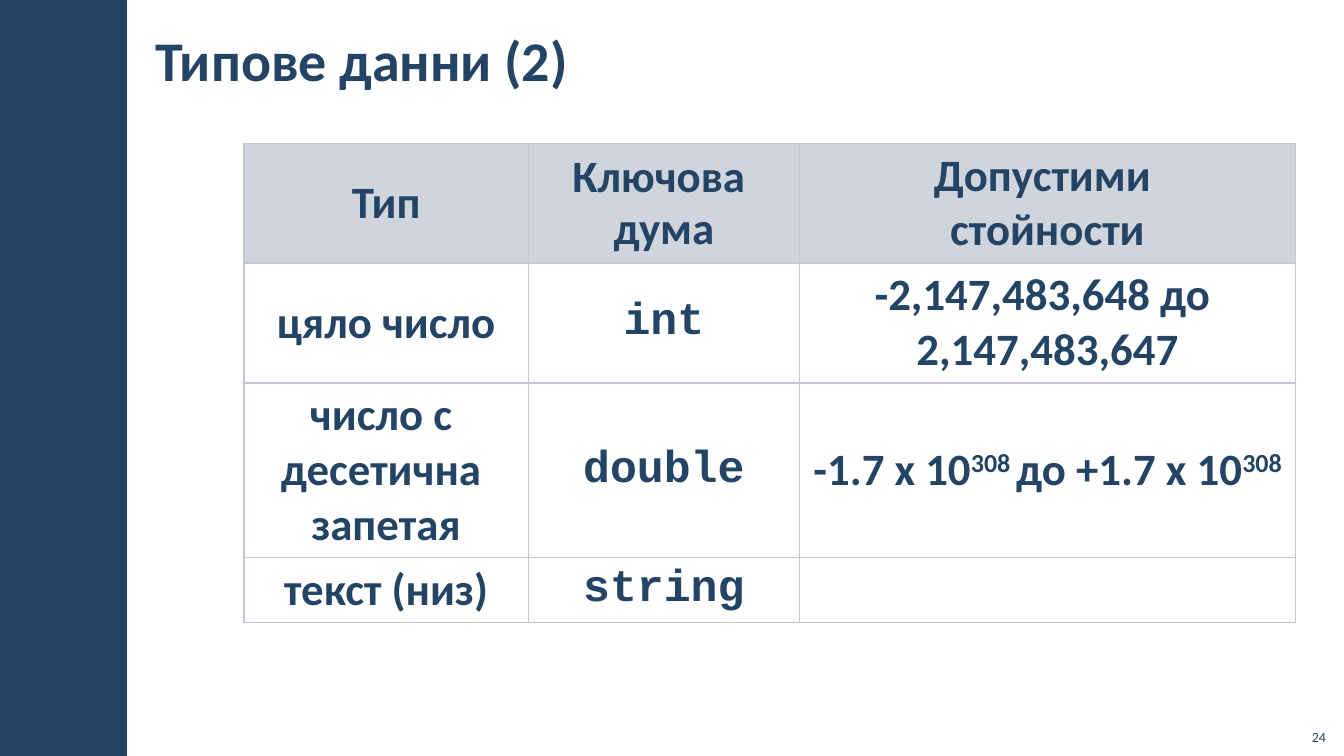
from pptx import Presentation
from pptx.dml.color import RGBColor
from pptx.enum import shapes, text
from pptx.oxml import parse_xml
from pptx.oxml.ns import nsdecls, qn
from pptx.util import Inches, Pt

NAVY = RGBColor(0x23, 0x44, 0x65)
HEADER_GRAY = RGBColor(0xA3, 0xAB, 0xBC)
BORDER_GRAY = RGBColor(0xC2, 0xC7, 0xD2)
BODY_FONT = "Calibri"
CODE_FONT = "Courier New"
PLAIN_TABLE_STYLE = "{2D5ABB26-0587-4C30-8999-92F81FD0307C}"

COLUMN_WIDTHS = [2.82, 2.69, 4.92]
ROW_HEIGHTS = [1.19, 1.19, 1.73, 0.64]
DATA_TYPES = [
    ["Тип", "Ключова \vдума", "Допустими \vстойности"],
    ["цяло число", "int", "-2,147,483,648 до \v2,147,483,647"],
    ["число с \vдесетична \nзапетая", "double",
     "-1.7 x 10^308 ^до +1.7 x 10^308"],
    ["текст (низ)", "string", ""],
]


def format_paragraph(paragraph, size, bold=False, name=BODY_FONT):
    font = paragraph.font
    font.name, font.size, font.bold = name, Pt(size), bold
    font.color.rgb = NAVY


def add_side_band(slide, left, top, width, height):
    band = slide.shapes.add_shape(
        shapes.MSO_SHAPE.RECTANGLE, left, top, width, height)
    band.shadow.inherit = False
    band.fill.solid()
    band.fill.fore_color.rgb = NAVY
    band.line.fill.background()


def place_title(slide, left, top, width, height):
    title = slide.shapes.title
    title.left, title.top, title.width, title.height = left, top, width, height
    frame = title.text_frame
    frame.text = "Типове данни (2)"
    frame.vertical_anchor = text.MSO_ANCHOR.MIDDLE
    frame.margin_left = frame.margin_right = Inches(0.12)
    frame.margin_top = frame.margin_bottom = Inches(0.04)
    paragraph = frame.paragraphs[0]
    paragraph.alignment = text.PP_ALIGN.LEFT
    format_paragraph(paragraph, 40, bold=True)


def add_borders(cell):
    properties = cell._tc.get_or_add_tcPr()
    for position, side in enumerate(("lnL", "lnR", "lnT", "lnB")):
        properties.insert(position, parse_xml(
            f'<a:{side} {nsdecls("a")} w="12700"><a:solidFill>'
            f'<a:srgbClr val="{BORDER_GRAY}"/></a:solidFill></a:{side}>'))


def fill_header(cell):
    cell.fill.solid()
    cell.fill.fore_color.rgb = HEADER_GRAY
    color = cell._tc.tcPr.find(".//" + qn("a:srgbClr"))
    color.append(parse_xml(f'<a:alpha {nsdecls("a")} val="50000"/>'))


def write_with_exponents(paragraph, content):
    for position, piece in enumerate(content.split("^")):
        run = paragraph.add_run()
        run.text = piece
        if position % 2:
            run.font._element.set("baseline", "30000")


def write_cell(cell, content, is_header, is_code):
    if is_header:
        fill_header(cell)
    else:
        cell.fill.background()
    add_borders(cell)
    cell.vertical_anchor = text.MSO_ANCHOR.MIDDLE
    if "^" in content:
        write_with_exponents(cell.text_frame.paragraphs[0], content)
    else:
        cell.text_frame.text = content
    for paragraph in cell.text_frame.paragraphs:
        paragraph.alignment = text.PP_ALIGN.CENTER
        if is_header and not content.startswith("Допустими"):
            paragraph.line_spacing = 0.95
        format_paragraph(paragraph, 32, bold=True,
                         name=CODE_FONT if is_code else BODY_FONT)


def add_type_table(slide, left, top):
    frame = slide.shapes.add_table(
        len(ROW_HEIGHTS), len(COLUMN_WIDTHS), left, top,
        Inches(sum(COLUMN_WIDTHS)), Inches(sum(ROW_HEIGHTS)))
    table = frame.table
    table.first_row = table.horz_banding = False
    table._tbl.tblPr.find(qn("a:tableStyleId")).text = PLAIN_TABLE_STYLE
    for column, width in zip(table.columns, COLUMN_WIDTHS):
        column.width = Inches(width)
    for row, height in zip(table.rows, ROW_HEIGHTS):
        row.height = Inches(height)
    for r, row in enumerate(DATA_TYPES):
        for c, content in enumerate(row):
            write_cell(table.cell(r, c), content, r == 0, r > 0 and c == 1)


def add_page_number(slide, left, top, width, height):
    box = slide.shapes.add_textbox(left, top, width, height)
    frame = box.text_frame
    frame.word_wrap = True
    frame.vertical_anchor = text.MSO_ANCHOR.BOTTOM
    frame.text = "24"
    frame.paragraphs[0].alignment = text.PP_ALIGN.RIGHT
    format_paragraph(frame.paragraphs[0], 10)


def main():
    presentation = Presentation()
    presentation.slide_width = Inches(13.33)
    presentation.slide_height = Inches(7.5)
    slide = presentation.slides.add_slide(presentation.slide_layouts[5])
    add_side_band(slide, 0, 0, Inches(1.26), presentation.slide_height)
    place_title(slide, Inches(1.42), Inches(0.1), Inches(9.18), Inches(0.97))
    add_type_table(slide, Inches(2.42), Inches(1.42))
    add_page_number(slide, Inches(12.85), Inches(7.12), Inches(0.4), Inches(0.32))
    presentation.save("out.pptx")


if __name__ == "__main__":
    main()
